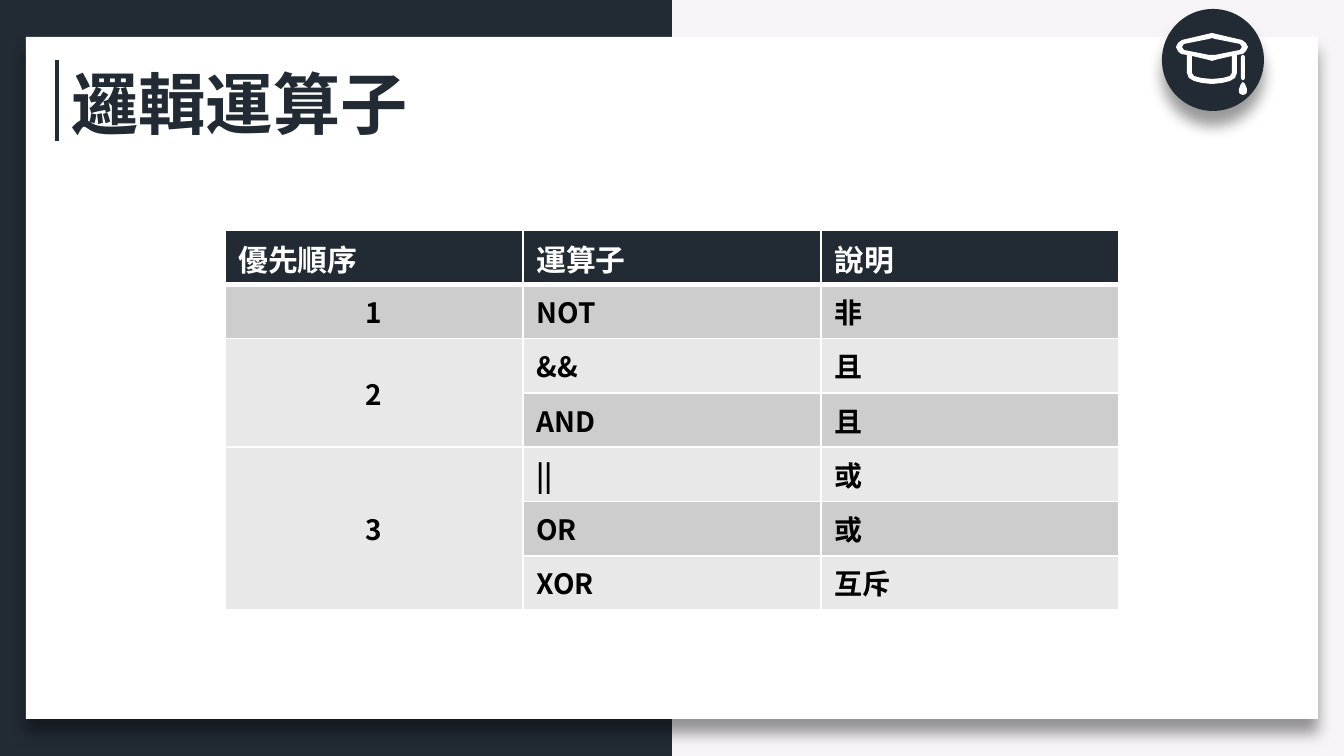
from dataclasses import dataclass

from lxml import etree
from pptx import Presentation
from pptx import util as u
from pptx.dml.color import RGBColor
from pptx.enum import shapes, text
from pptx.oxml import ns

EMU_PER_PX = 6804
FONT = "Noto Sans CJK SC"
COLORS = {
    "navy": "222B34",
    "white": "FFFFFF",
    "black": "000000",
    "backdrop": "F6F4F7",
    "dark_band": "CDCDCE",
    "light_band": "E8E8E8",
}


@dataclass(frozen=True)
class Panel:
    kind: shapes.MSO_SHAPE
    left: int
    top: int
    width: int
    height: int
    color: str
    shadow: bool = False


@dataclass(frozen=True)
class Symbol:
    center: int
    right_halves: tuple


@dataclass(frozen=True)
class Operator:
    priority: str
    name: str
    meaning: str
    span: int = 1


PANELS = [
    Panel(shapes.MSO_SHAPE.RECTANGLE, 0, 0, 672, 756, "navy"),
    Panel(shapes.MSO_SHAPE.RECTANGLE, 26, 37, 1292, 682, "white", True),
    Panel(shapes.MSO_SHAPE.OVAL, 1162, 9, 102, 102, "navy", True),
]

CAP = Symbol(1212, (
    ((0, 33), (4, 34), (30, 40), (34, 43), (36, 47), (34, 51), (31, 54), (25, 55),
     (25, 73), (23, 78), (18, 81), (10, 83), (0, 84)),
    ((0, 38), (3, 39), (28, 44), (30, 47), (28, 50), (3, 55), (0, 55)),
    ((0, 61), (3, 60), (20, 56), (20, 73), (18, 76), (11, 78), (0, 79)),
))
CORD = Symbol(1243, (((0, 55), (1, 55), (2, 57), (2, 78), (1, 80), (0, 80)),))
TASSEL = Symbol(1243, (((0, 82), (2, 84), (4, 89), (4, 92), (3, 94), (0, 95)),))

HEADINGS = ("優先順序", "運算子", "說明")
OPERATORS = [
    Operator("1", "NOT", "非"),
    Operator("2", "&&", "且", 2),
    Operator("", "AND", "且"),
    Operator("3", "||", "或", 3),
    Operator("", "OR", "或"),
    Operator("", "XOR", "互斥"),
]


def px(value: int) -> u.Emu:
    return u.Emu(value * EMU_PER_PX)


def rgb(name: str) -> RGBColor:
    return RGBColor.from_string(COLORS[name])


def add_effects(shape, shadow: bool = False) -> None:
    effects = etree.SubElement(shape._element.spPr, ns.qn("a:effectLst"))
    if shadow:
        outer = etree.SubElement(
            effects, ns.qn("a:outerShdw"), blurRad=str(u.Pt(8)), dist=str(u.Pt(8)),
            dir="5400000", algn="t", rotWithShape="0")
        color = etree.SubElement(outer, ns.qn("a:srgbClr"), val=COLORS["black"])
        etree.SubElement(color, ns.qn("a:alpha"), val="40000")


def paint(shape, color: str, shadow: bool = False) -> None:
    shape.fill.solid()
    shape.fill.fore_color.rgb = rgb(color)
    shape.line.fill.background()
    add_effects(shape, shadow)


def add_panel(slide, panel: Panel) -> None:
    shape = slide.shapes.add_shape(
        panel.kind, px(panel.left), px(panel.top), px(panel.width), px(panel.height))
    paint(shape, panel.color, panel.shadow)


def add_symbol(slide, symbol: Symbol) -> None:
    outlines = []
    for half in symbol.right_halves:
        right = [(symbol.center + x, y) for x, y in half]
        left = [(symbol.center - x, y) for x, y in reversed(half) if x]
        outlines.append(right + left)
    builder = slide.shapes.build_freeform(*outlines[0][0], scale=EMU_PER_PX)
    builder.add_line_segments(outlines[0][1:], close=True)
    for outline in outlines[1:]:
        builder.move_to(*outline[0])
        builder.add_line_segments(outline[1:], close=True)
    paint(builder.convert_to_shape(), "white")


def add_text(paragraph, words: str, size: int, color: str) -> None:
    run = paragraph.add_run()
    run.text = words
    run.font.name = FONT
    run.font.size = u.Pt(size)
    run.font.bold = True
    run.font.color.rgb = rgb(color)
    etree.SubElement(run.font._element, ns.qn("a:ea"), typeface=FONT)


def place_title(slide, words: str) -> None:
    title = slide.shapes.title
    title.left, title.top, title.width, title.height = px(58), px(55), px(367), px(95)
    frame = title.text_frame
    frame.word_wrap = False
    frame.auto_size = text.MSO_AUTO_SIZE.NONE
    frame.vertical_anchor = text.MSO_ANCHOR.MIDDLE
    frame.paragraphs[0].alignment = text.PP_ALIGN.LEFT
    add_text(frame.paragraphs[0], words, 36, "navy")
    slide.shapes._spTree.append(title._element)


def add_rule(slide) -> None:
    rule = slide.shapes.add_connector(
        shapes.MSO_CONNECTOR.STRAIGHT, px(57), px(60), px(57), px(141))
    rule.line.color.rgb = rgb("navy")
    rule.line.width = u.Pt(2.25)
    add_effects(rule)


def style_cell(cell, fill: str, top: float = 1, bottom: float = 1) -> None:
    cell.fill.solid()
    cell.fill.fore_color.rgb = rgb(fill)
    properties = cell._tc.get_or_add_tcPr()
    widths = {"L": 1, "R": 1, "T": top, "B": bottom}
    for index, (side, width) in enumerate(widths.items()):
        line = etree.Element(ns.qn(f"a:ln{side}"), w=str(u.Pt(width)))
        solid = etree.SubElement(line, ns.qn("a:solidFill"))
        etree.SubElement(solid, ns.qn("a:srgbClr"), val=COLORS["white"])
        properties.insert(index, line)


def add_operator_table(slide) -> None:
    row_count = len(OPERATORS) + 1
    table = slide.shapes.add_table(
        row_count, len(HEADINGS), px(225), px(230), px(894), px(380)).table
    for column in table.columns:
        column.width = px(298)
    for row in table.rows:
        row.height = u.Emu(px(380) // row_count)

    for index, heading in enumerate(HEADINGS):
        cell = table.cell(0, index)
        style_cell(cell, "navy", bottom=3)
        cell.margin_top, cell.margin_bottom = px(7), px(3)
        add_text(cell.text_frame.paragraphs[0], heading, 16, "white")

    for number, operator in enumerate(OPERATORS, start=1):
        band = "dark_band" if number % 2 else "light_band"
        words = (operator.priority, operator.name, operator.meaning)
        for index, word in enumerate(words):
            cell = table.cell(number, index)
            style_cell(cell, band, top=3 if number == 1 else 1)
            if word:
                add_text(cell.text_frame.paragraphs[0], word, 15, "black")
        if operator.priority:
            first = table.cell(number, 0)
            first.vertical_anchor = text.MSO_ANCHOR.MIDDLE
            first.text_frame.paragraphs[0].alignment = text.PP_ALIGN.CENTER
            if operator.span > 1:
                first.merge(table.cell(number + operator.span - 1, 0))


def main() -> None:
    presentation = Presentation()
    presentation.slide_width, presentation.slide_height = px(1344), px(756)
    slide = presentation.slides.add_slide(presentation.slide_layouts[5])
    slide.background.fill.solid()
    slide.background.fill.fore_color.rgb = rgb("backdrop")
    for panel in PANELS:
        add_panel(slide, panel)
    for symbol in (CAP, CORD, TASSEL):
        add_symbol(slide, symbol)
    add_rule(slide)
    place_title(slide, "邏輯運算子")
    add_operator_table(slide)
    presentation.save("out.pptx")


if __name__ == "__main__":
    main()
